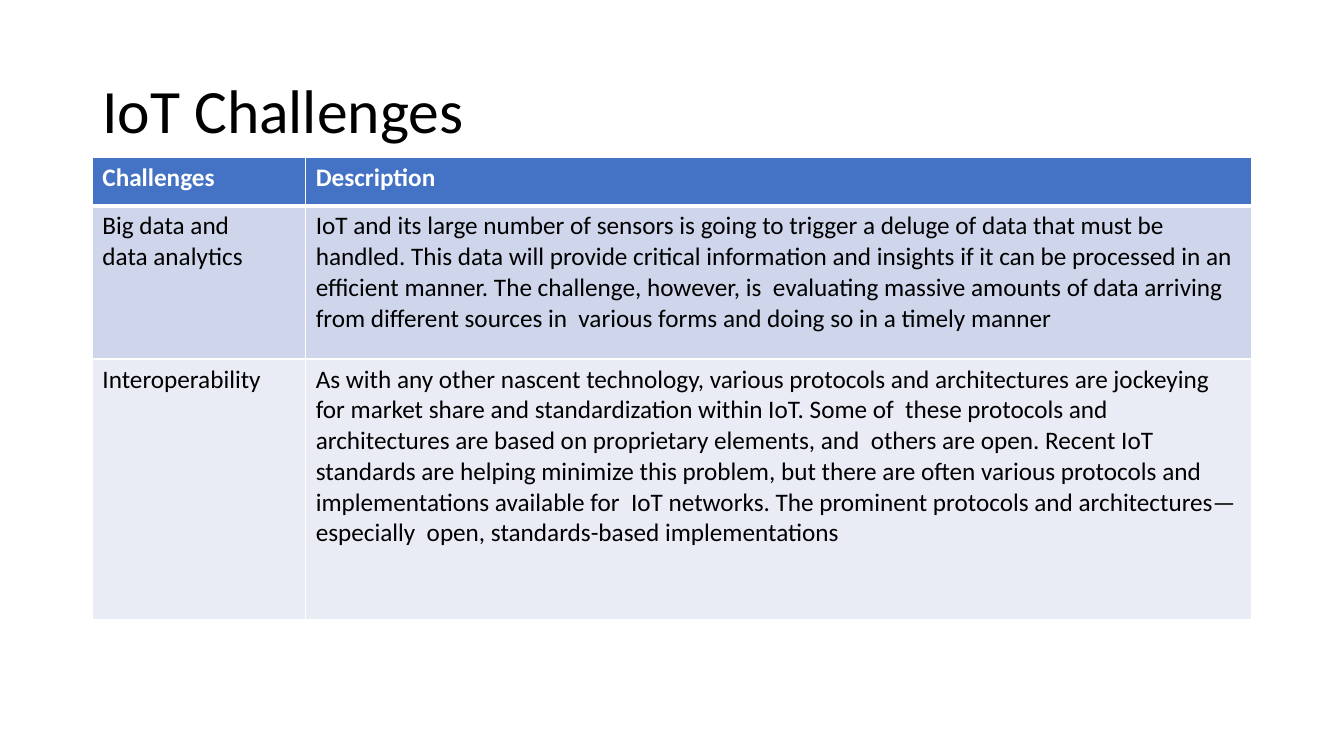
from dataclasses import dataclass

from lxml import etree
from pptx import Presentation
from pptx import util as u
from pptx.dml.color import RGBColor
from pptx.enum import text
from pptx.oxml import ns

COLUMNS, ROWS = 160, 90  # grid over the whole slide


@dataclass(frozen=True)
class Theme:
    font: str = "Calibri"
    title_size: int = 44
    body_size: int = 18
    ink: str = "000000"
    white: str = "FFFFFF"
    header: str = "4472C4"
    bands: tuple = ("CFD5EA", "E9EBF5")
    thin: int = 1
    thick: int = 3


class SlideBuilder:
    def __init__(self, presentation, theme):
        self.theme = theme
        self.column = presentation.slide_width / COLUMNS
        self.row = presentation.slide_height / ROWS
        self.slide = presentation.slides.add_slide(presentation.slide_layouts[6])

    def place(self, left, top, width, height):
        return (round(left * self.column), round(top * self.row),
                round(width * self.column), round(height * self.row))

    def style(self, paragraph, size, color, bold=False):
        font = paragraph.font
        font.name, font.size, font.bold = self.theme.font, u.Pt(size), bold
        font.color.rgb = RGBColor.from_string(color)

    def title(self, wording, *area):
        frame = self.slide.shapes.add_textbox(*self.place(*area)).text_frame
        frame.word_wrap = True
        frame.vertical_anchor = text.MSO_ANCHOR.MIDDLE
        paragraph = frame.paragraphs[0]
        paragraph.text = wording
        paragraph.line_spacing = 0.9
        self.style(paragraph, self.theme.title_size, self.theme.ink)

    def border(self, cell, side, points):
        properties = cell._tc.get_or_add_tcPr()
        line = etree.SubElement(properties, ns.qn(f"a:ln{side}"), w=str(u.Pt(points)))
        fill = etree.SubElement(line, ns.qn("a:solidFill"))
        etree.SubElement(fill, ns.qn("a:srgbClr"), val=self.theme.white)

    def cell(self, cell, wording, row):
        theme = self.theme
        is_header = row == 0
        widths = {"L": theme.thin, "R": theme.thin,
                  "T": theme.thick if row == 1 else theme.thin,
                  "B": theme.thick if is_header else theme.thin}
        for side, points in widths.items():
            self.border(cell, side, points)
        cell.fill.solid()
        cell.fill.fore_color.rgb = RGBColor.from_string(
            theme.header if is_header else theme.bands[(row - 1) % 2])
        cell.text = wording
        for paragraph in cell.text_frame.paragraphs:
            self.style(paragraph, theme.body_size,
                       theme.white if is_header else theme.ink, is_header)

    def table(self, records, left, top, widths, heights):
        area = self.place(left, top, sum(widths), sum(heights))
        table = self.slide.shapes.add_table(len(heights), len(widths), *area).table
        for column, width in zip(table.columns, widths):
            column.width = round(width * self.column)
        for index, (record, height) in enumerate(zip(records, heights)):
            table.rows[index].height = round(height * self.row)
            for position, wording in enumerate(record):
                self.cell(table.cell(index, position), wording, index)


CHALLENGES = [
    ("Challenges", "Description"),
    ("Big data and\ndata analytics",
     "IoT and its large number of sensors is going to trigger a deluge of data "
     "that must be handled. This data will provide critical information and "
     "insights if it can be processed in an efficient manner. The challenge, "
     "however, is  evaluating massive amounts of data arriving from different "
     "sources in  various forms and doing so in a timely manner"),
    ("Interoperability",
     "As with any other nascent technology, various protocols and architectures "
     "are jockeying for market share and standardization within IoT. Some of  "
     "these protocols and architectures are based on proprietary elements, and  "
     "others are open. Recent IoT standards are helping minimize this problem, "
     "but there are often various protocols and implementations available for  "
     "IoT networks. The prominent protocols and architectures—especially  open, "
     "standards-based implementations"),
]


def main():
    presentation = Presentation()
    presentation.slide_width, presentation.slide_height = u.Inches(13.33), u.Inches(7.5)
    builder = SlideBuilder(presentation, Theme())

    # Heading
    builder.title("IoT Challenges", 11, 4.8, 138, 17.4)

    # Challenges and their descriptions
    builder.table(CHALLENGES, left=11, top=18.75,
                  widths=(25.4, 112.6), heights=(5.75, 18.25, 31))

    presentation.save("out.pptx")


if __name__ == "__main__":
    main()
